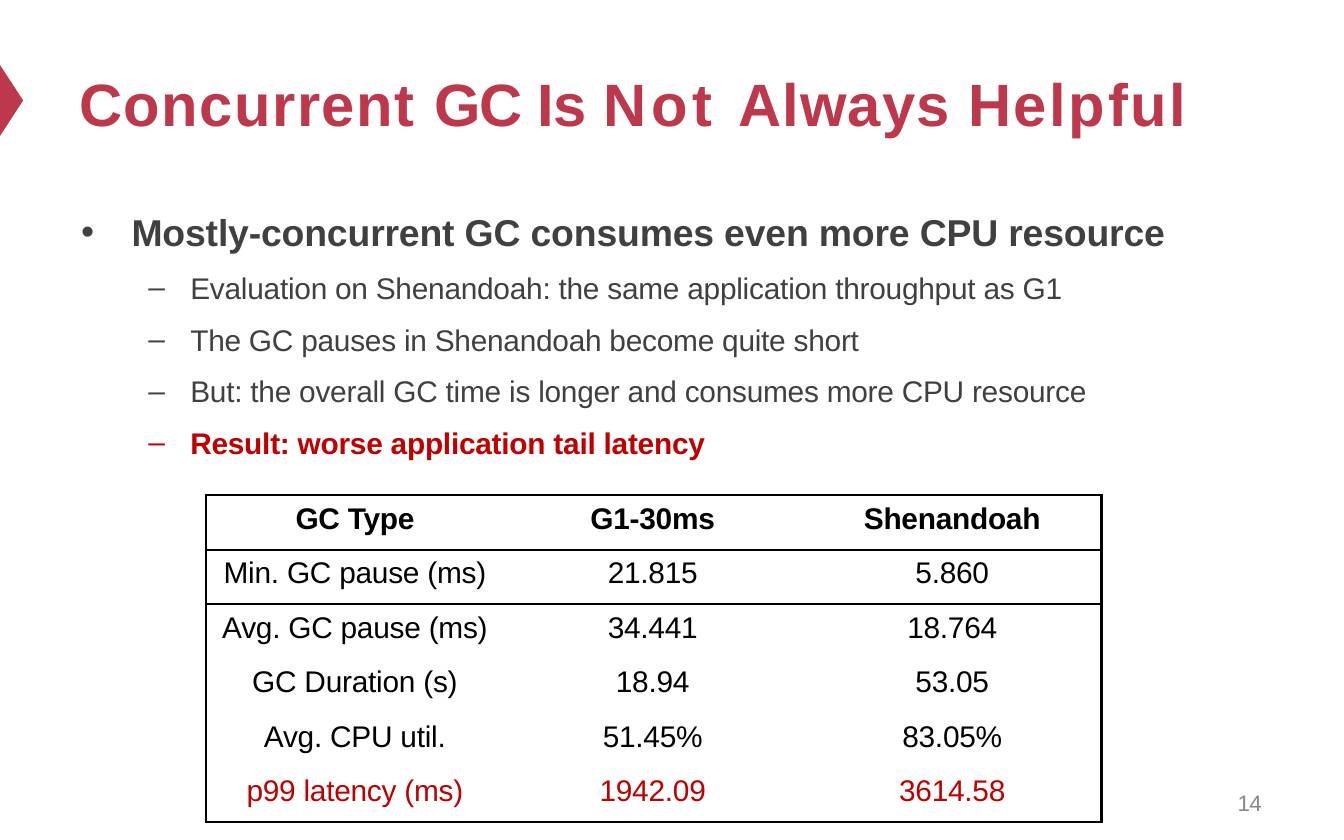
from lxml import etree
from pptx import Presentation
from pptx.dml.color import RGBColor
from pptx.enum.text import MSO_AUTO_SIZE, PP_ALIGN
from pptx.oxml.ns import qn
from pptx.util import Pt

CENTER = PP_ALIGN.CENTER
NO_AUTOFIT = MSO_AUTO_SIZE.NONE
COLORS = {
    "crimson": "BE384B",
    "body": "404040",
    "alert": "C00000",
    "muted": "898989",
    "black": "000000",
}
TITLE_RUNS = [("Concurrent ", 0.8), ("GC ", -1), ("Is ", -0.1),
              ("Not ", 2.6), ("Always ", 0.5), ("Helpful", 1.4)]
POINTS = [
    "Evaluation on Shenandoah: the same application throughput as G1",
    "The GC pauses in Shenandoah become quite short",
    "But: the overall GC time is longer and consumes more CPU resource",
]
MEASUREMENTS = [
    ("GC Type", "G1-30ms", "Shenandoah"),
    ("Min. GC pause (ms)", "21.815", "5.860"),
    ("Avg. GC pause (ms)", "34.441", "18.764"),
    ("GC Duration (s)", "18.94", "53.05"),
    ("Avg. CPU util.", "51.45%", "83.05%"),
    ("p99 latency (ms)", "1942.09", "3614.58"),
]
COLUMN_WIDTHS = (179, 134, 167)
COLUMN_MARGINS = ((0, 19), (0, 13), (7, 0))
RULED_ROWS = (0, 1, 2, len(MEASUREMENTS))


def color(name):
    return RGBColor.from_string(COLORS[name])


def add_run(paragraph, text, size=16, ink="black", bold=False, spacing=-0.1):
    run = paragraph.add_run()
    run.text = text
    run.font.name = "Arial"
    run.font.size = Pt(size)
    run.font.bold = bold
    run.font.color.rgb = color(ink)
    run.font._element.set("spc", str(round(spacing * 100)))


def set_bullet(paragraph, character, left, hanging):
    properties = paragraph._p.get_or_add_pPr()
    properties.set("marL", str(Pt(left)))
    properties.set("indent", str(-Pt(hanging)))
    etree.SubElement(properties, qn("a:buFont"), typeface="Arial")
    etree.SubElement(properties, qn("a:buChar"), char=character)


def set_border(cell, side, visible):
    properties = cell._tc.get_or_add_tcPr()
    line = etree.SubElement(properties, qn(f"a:ln{side}"), w=str(Pt(1.5)))
    if visible:
        fill = etree.SubElement(line, qn("a:solidFill"))
        etree.SubElement(fill, qn("a:srgbClr"), val=COLORS["black"])
    else:
        etree.SubElement(line, qn("a:noFill"))


class SlideBuilder:
    def __init__(self, slide):
        self.slide = slide

    def text_box(self, left, top, width, height):
        shape = self.slide.shapes.add_textbox(Pt(left), Pt(top), Pt(width), Pt(height))
        frame = shape.text_frame
        frame.word_wrap = True
        frame.auto_size = NO_AUTOFIT
        frame.margin_left = frame.margin_top = 0
        frame.margin_right = frame.margin_bottom = 0
        return frame

    def marker(self, top, width, height):
        builder = self.slide.shapes.build_freeform(0, Pt(top))
        builder.add_line_segments(
            [(0, Pt(top + height)), (Pt(width), Pt(top + height / 2))], close=True)
        shape = builder.convert_to_shape()
        shape.shadow.inherit = False
        shape.fill.solid()
        shape.fill.fore_color.rgb = color("crimson")
        shape.line.fill.background()

    def title(self, runs):
        paragraph = self.text_box(42.5, 36, 596, 40).paragraphs[0]
        for text, spacing in runs:
            add_run(paragraph, text, size=32, ink="crimson", bold=True, spacing=spacing)

    def bullets(self, heading, points, result):
        frame = self.text_box(42.5, 112, 587, 132)
        paragraph = frame.paragraphs[0]
        set_bullet(paragraph, "•", 28, 27)
        add_run(paragraph, heading, size=20, ink="body", bold=True)
        for text in points + [result]:
            paragraph = frame.add_paragraph()
            paragraph.level = 1
            paragraph.space_before = Pt(8.5)
            set_bullet(paragraph, "–", 59.5, 22.5)
            is_result = text == result
            add_run(paragraph, text, ink="alert" if is_result else "body", bold=is_result)

    def table(self, rows, left, top, row_height):
        height = row_height * len(rows)
        table = self.slide.shapes.add_table(
            len(rows), len(COLUMN_WIDTHS), Pt(left), Pt(top),
            Pt(sum(COLUMN_WIDTHS)), Pt(height)).table
        table.first_row = table.horz_banding = False
        for column, width in zip(table.columns, COLUMN_WIDTHS):
            column.width = Pt(width)
        last_row, last_column = len(rows) - 1, len(COLUMN_WIDTHS) - 1
        for row, values in enumerate(rows):
            table.rows[row].height = Pt(row_height)
            for column, value in enumerate(values):
                cell = table.cell(row, column)
                before, after = COLUMN_MARGINS[column]
                cell.margin_left, cell.margin_right = Pt(before), Pt(after)
                cell.margin_top, cell.margin_bottom = Pt(3.8), 0
                set_border(cell, "L", column == 0)
                set_border(cell, "R", column == last_column)
                set_border(cell, "T", row in RULED_ROWS)
                set_border(cell, "B", row + 1 in RULED_ROWS)
                cell.fill.background()
                paragraph = cell.text_frame.paragraphs[0]
                paragraph.alignment = CENTER
                add_run(paragraph, value, bold=row == 0,
                        ink="alert" if row == last_row else "black")

    def page_number(self, number):
        paragraph = self.text_box(663, 422.5, 20, 16).paragraphs[0]
        add_run(paragraph, number, size=12, ink="muted", spacing=-0.3)


def main():
    presentation = Presentation()
    presentation.slide_width, presentation.slide_height = Pt(720), Pt(450)
    builder = SlideBuilder(presentation.slides.add_slide(presentation.slide_layouts[6]))
    builder.marker(top=34.8, width=12.4, height=38)
    builder.title(TITLE_RUNS)
    builder.bullets("Mostly-concurrent GC consumes even more CPU resource",
                    POINTS, "Result: worse application tail latency")
    builder.table(MEASUREMENTS, left=110.2, top=265.3, row_height=29.2)
    builder.page_number("14")
    presentation.save("out.pptx")


if __name__ == "__main__":
    main()
